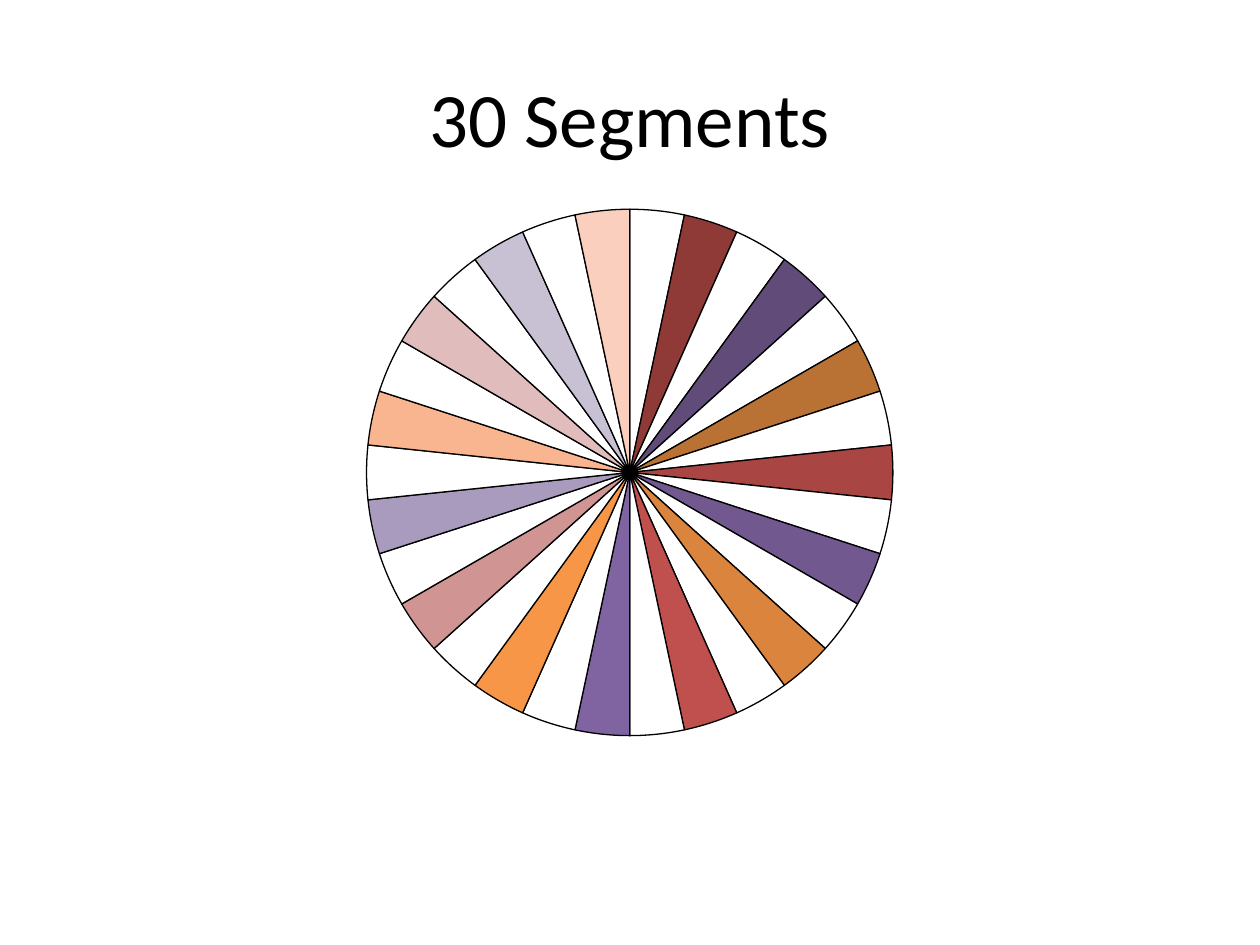
import dataclasses

import pptx
import pptx.chart.data
import pptx.dml.color
import pptx.enum.chart
import pptx.enum.text
import pptx.oxml
import pptx.oxml.ns
import pptx.util
from pptx.util import Cm


@dataclasses.dataclass(frozen=True)
class Theme:
    """Colours and type sizes of the slide."""

    font: str = "Calibri"
    title_size: int = 44
    chart_size: int = 18
    line_width: float = 0.75
    ink: str = "000000"
    blank: str = "FFFFFF"
    segments: tuple = (
        "903A38", "614B79", "B97233",
        "A94643", "71588F", "DB843D",
        "C0504D", "8064A2", "F79646",
        "D09493", "A99BBD", "F9B590",
        "E0BCBC", "C8C1D4", "FACFBD",
    )


class SlideBuilder:
    """Adds styled elements to the current slide."""

    def __init__(self, slide, theme):
        self.slide = slide
        self.theme = theme

    def color(self, value):
        """Return the colour for a hex value."""
        return pptx.dml.color.RGBColor.from_string(value)

    def style_font(self, font, size):
        """Apply the theme typeface and ink."""
        font.name = self.theme.font
        font.size = pptx.util.Pt(size)
        font.color.rgb = self.color(self.theme.ink)

    def add_title(self, text, left, top, width, height):
        """Add a centred title."""
        frame = self.slide.shapes.add_textbox(left, top, width, height).text_frame
        frame.word_wrap = True
        frame.vertical_anchor = pptx.enum.text.MSO_ANCHOR.MIDDLE
        paragraph = frame.paragraphs[0]
        paragraph.text = text
        paragraph.alignment = pptx.enum.text.PP_ALIGN.CENTER
        self.style_font(paragraph.font, self.theme.title_size)

    def add_pie(self, values, colors, left, top, width, height, share):
        """Add a pie whose diameter is a share of the chart height."""
        data = pptx.chart.data.CategoryChartData()
        data.categories = [str(number) for number in range(1, len(values) + 1)]
        data.add_series("Series 1", values)
        chart = self.slide.shapes.add_chart(
            pptx.enum.chart.XL_CHART_TYPE.PIE, left, top, width, height, data
        ).chart
        chart.has_title = False
        chart.has_legend = False
        self.style_font(chart.font, self.theme.chart_size)
        plot = chart.plots[0]
        plot.vary_by_categories = True
        for index, color in enumerate(colors):
            point_format = plot.series[0].points[index].format
            point_format.fill.solid()
            point_format.fill.fore_color.rgb = self.color(color)
            point_format.line.color.rgb = self.color(self.theme.ink)
            point_format.line.width = pptx.util.Pt(self.theme.line_width)
        self.place_plot(chart, share * height / width, share)

    def place_plot(self, chart, width, height):
        """Centre the plot area at the given fractions of the chart."""
        area = chart.element.find(".//" + pptx.oxml.ns.qn("c:plotArea"))
        for layout in area.findall(pptx.oxml.ns.qn("c:layout")):
            area.remove(layout)
        settings = {
            "layoutTarget": "inner", "xMode": "edge", "yMode": "edge",
            "x": (1 - width) / 2, "y": (1 - height) / 2, "w": width, "h": height,
        }
        tags = "".join(f'<c:{name} val="{value}"/>' for name, value in settings.items())
        area.insert(0, pptx.oxml.parse_xml(
            f'<c:layout {pptx.oxml.ns.nsdecls("c")}>'
            f"<c:manualLayout>{tags}</c:manualLayout></c:layout>"
        ))


def main():
    """Build and save the slide."""
    presentation = pptx.Presentation()
    presentation.slide_width = Cm(25.4)
    presentation.slide_height = Cm(19.05)
    slide = presentation.slides.add_slide(presentation.slide_layouts[6])
    theme = Theme()
    builder = SlideBuilder(slide, theme)
    colors = [color for segment in theme.segments for color in (theme.blank, segment)]
    builder.add_pie(
        [3] * len(colors), colors, Cm(4.23), Cm(3.88), Cm(16.93), Cm(11.29), 0.94
    )
    builder.add_title("30 Segments", Cm(1.27), Cm(0.76), Cm(22.86), Cm(3.18))
    presentation.save("out.pptx")


if __name__ == "__main__":
    main()
